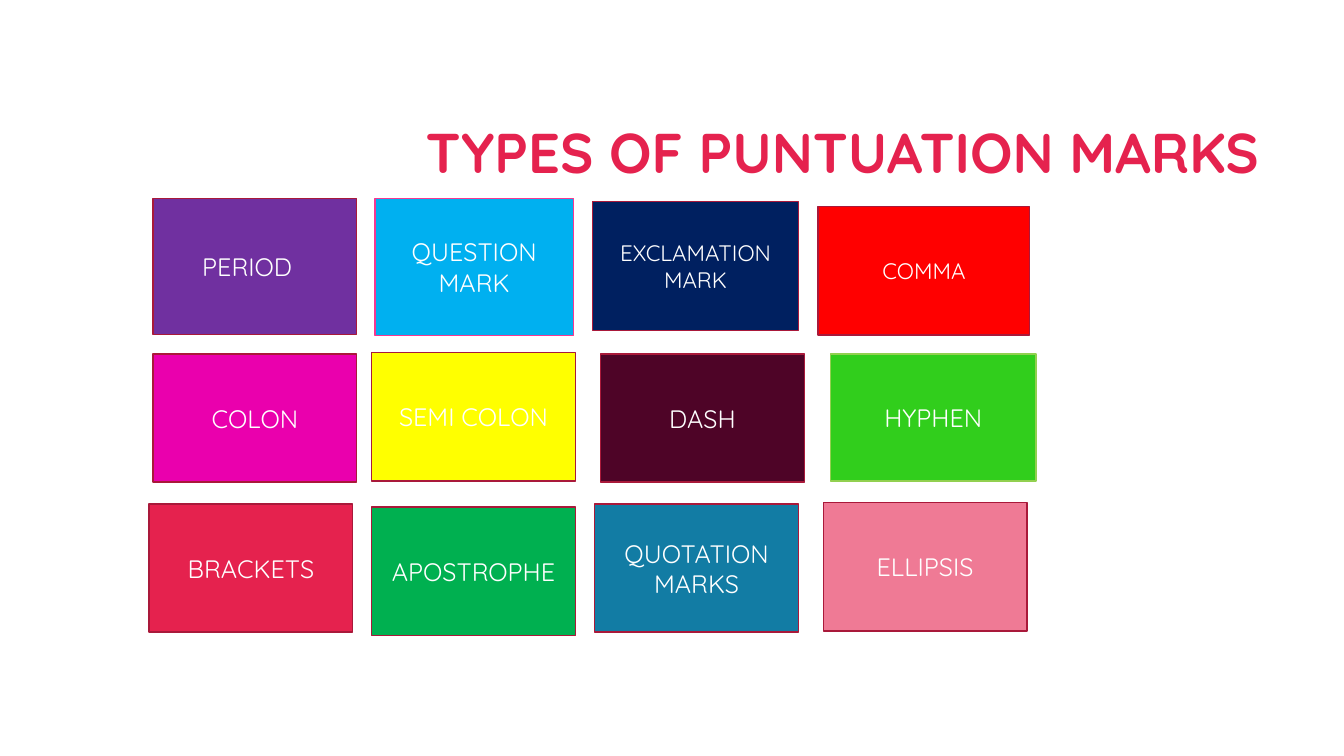
import pptx
import pptx.util
import pptx.dml.color
import pptx.enum.shapes
import pptx.enum.text
from dataclasses import dataclass

Cm, Pt = pptx.util.Cm, pptx.util.Pt
RGB = pptx.dml.color.RGBColor.from_string
ALIGN, ANCHOR = pptx.enum.text.PP_ALIGN, pptx.enum.text.MSO_ANCHOR


@dataclass(frozen=True)
class Theme:
    font: str = "Quicksand"
    title_size: int = 40
    card_size: int = 18
    small_size: int = 16
    crimson: str = "E5224E"
    white: str = "FFFFFF"
    border: str = "A9193A"
    pink_border: str = "F63892"
    lime_border: str = "92D050"
    purple: str = "7030A0"
    sky: str = "00B0F0"
    navy: str = "002060"
    red: str = "FF0000"
    magenta: str = "EA00AD"
    yellow: str = "FFFF00"
    plum: str = "4E0427"
    lime: str = "31CE1C"
    green: str = "00B050"
    teal: str = "127CA4"
    rose: str = "EF7A95"


theme = Theme()


def style_text(p, size, color, align):
    p.alignment = align
    p.font.name = theme.font
    p.font.size = Pt(size)
    p.font.color.rgb = RGB(color)


prs = pptx.Presentation()
prs.slide_width, prs.slide_height = Cm(33.87), Cm(19.05)
s = prs.slides.add_slide(prs.slide_layouts[6])

# Title
tf = s.shapes.add_textbox(Cm(8.05), Cm(2.13), Cm(23.93), Cm(3.58)).text_frame
tf.word_wrap = True
tf.vertical_anchor = ANCHOR.MIDDLE
p = tf.paragraphs[0]
p.text = "TYPES OF PUNTUATION MARKS"
p.line_spacing = 0.9
style_text(p, theme.title_size, theme.crimson, ALIGN.RIGHT)
p.font.bold = True

# Cards: text, fill, left, top, width, height (cm)
W, H = 5.13, 3.23
cards = [
    ("PERIOD", theme.purple, 3.86, 5, W, 3.43),
    ("QUESTION MARK", theme.sky, 9.45, 5, 5, 3.45),
    ("EXCLAMATION\nMARK", theme.navy, 14.94, 5.08, 5.18, 3.25),
    ("COMMA", theme.red, 20.62, 5.21, 5.33, H),
    ("COLON", theme.magenta, 3.86, 8.92, W, H),
    ("SEMI COLON", theme.yellow, 9.37, 8.89, W, H),
    ("DASH", theme.plum, 15.14, 8.92, W, H),
    ("HYPHEN", theme.lime, 20.93, 8.92, 5.18, 3.2),
    ("BRACKETS", theme.crimson, 3.76, 12.7, W, H),
    ("APOSTROPHE", theme.green, 9.37, 12.78, W, H),
    ("QUOTATION MARKS", theme.teal, 14.99, 12.7, W, H),
    ("ELLIPSIS", theme.rose, 20.75, 12.67, W, H),
]
borders = {theme.sky: theme.pink_border, theme.lime: theme.lime_border}
sizes = {theme.navy: theme.small_size, theme.red: theme.small_size}
right_insets = {theme.purple: 0.64}  # the first label sits left of centre

for text, fill, left, top, width, height in cards:
    sp = s.shapes.add_shape(pptx.enum.shapes.MSO_SHAPE.RECTANGLE,
                            Cm(left), Cm(top), Cm(width), Cm(height))
    sp.shadow.inherit = False
    sp.fill.solid()
    sp.fill.fore_color.rgb = RGB(fill)
    sp.line.color.rgb = RGB(borders.get(fill, theme.border))
    sp.line.width = Pt(1)
    tf = sp.text_frame
    tf.word_wrap = True
    tf.vertical_anchor = ANCHOR.MIDDLE
    tf.margin_right = Cm(right_insets.get(fill, 0.25))
    tf.text = text
    for p in tf.paragraphs:
        style_text(p, sizes.get(fill, theme.card_size), theme.white, ALIGN.CENTER)

prs.save("out.pptx")
